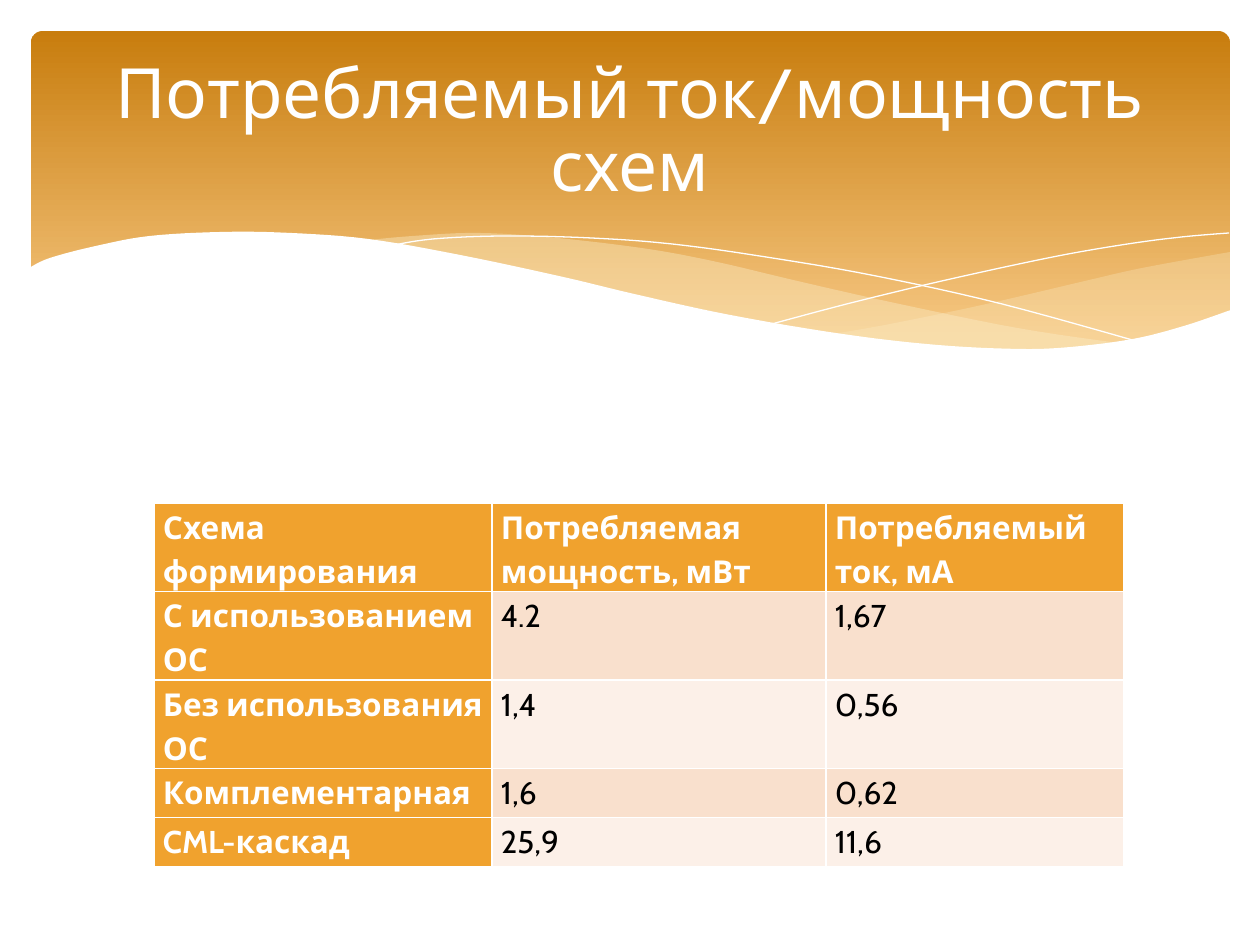
import pptx
import pptx.util
import pptx.dml.color
import pptx.enum.shapes
import pptx.enum.text
import lxml.etree

PX = 914400 / 126
FONT = "Cabin"
COLORS = {
    "band_top": "C87D0E", "band_bottom": "F6C782", "wave": "FBEEC9",
    "white": "FFFFFF", "black": "000000", "accent": "F0A22E",
    "row_dark": "F9E0CD", "row_light": "FCF0E8",
}


def rgb(name):
    return pptx.dml.color.RGBColor.from_string(COLORS[name])


def smooth_curve(knots, steps=6):
    padded = [knots[0]] + knots + [knots[-1]]
    points = [knots[0]]
    for a, b, c, d in zip(padded, padded[1:], padded[2:], padded[3:]):
        for step in range(1, steps + 1):
            t = step / steps
            points.append(tuple(
                0.5 * (2 * q + (r - p) * t + (2 * p - 5 * q + 4 * r - s) * t ** 2
                       + (3 * q - p - 3 * r + s) * t ** 3)
                for p, q, r, s in zip(a, b, c, d)))
    return points


presentation = pptx.Presentation()
presentation.slide_width = round(1260 * PX)
presentation.slide_height = round(945 * PX)
slide = presentation.slides.add_slide(presentation.slide_layouts[5])
shapes = slide.shapes

band = shapes.add_shape(
    pptx.enum.shapes.MSO_SHAPE.ROUNDED_RECTANGLE,
    *[round(value * PX) for value in (31, 31, 1199, 340)])
band.adjustments[0] = 0.034
band.shadow.inherit = False
band.line.fill.background()
band.fill.gradient()
band.fill.gradient_angle = 270
for stop, position, color in zip(
        band.fill.gradient_stops, (0, 0.9), ("band_top", "band_bottom")):
    stop.position = position
    stop.color.rgb = rgb(color)

right_wave = smooth_curve([
    (1230, 252), (1142, 268), (1085, 281), (982, 305), (890, 324), (833, 334),
]) + smooth_curve([
    (833, 334), (906, 343), (969, 349), (1026, 350), (1087, 347), (1140, 339),
    (1187, 326), (1230, 311)])
middle_wave = smooth_curve([
    (1125, 344), (1017, 328), (890, 302), (793, 280), (717, 262), (648, 249),
    (557, 238), (479, 233), (413, 236), (360, 241),
]) + smooth_curve([
    (360, 241), (431, 251), (509, 266), (566, 280), (668, 302), (757, 321),
    (838, 335), (910, 345), (989, 350), (1056, 350), (1125, 344)])
falling_line = smooth_curve([
    (389, 246), (433, 239), (505, 236), (591, 238), (672, 244), (766, 257),
    (876, 276), (1002, 304), (1143, 343)])
rising_line = smooth_curve([
    (772, 324), (847, 304), (942, 281), (1053, 257), (1128, 244), (1182, 237),
    (1229, 233)])
white_wave = smooth_curve([
    (1231, 310), (1184, 326), (1133, 339), (1071, 347), (1019, 349), (937, 345),
    (842, 334), (730, 315), (634, 294), (563, 277), (460, 255), (368, 239),
    (290, 233), (223, 232), (150, 236), (96, 246), (50, 258), (29, 268),
]) + [(29, 415), (1231, 415)]

for points, fill, opacity in (
        (right_wave, "wave", 29), (middle_wave, "wave", 40),
        (falling_line, None, 100), (rising_line, None, 100),
        (white_wave, "white", 100)):
    outline = [(round(x * PX), round(y * PX)) for x, y in points]
    builder = shapes.build_freeform(*outline[0])
    builder.add_line_segments(outline[1:], close=fill is not None)
    shape = builder.convert_to_shape()
    shape.shadow.inherit = False
    if fill is None:
        shape.fill.background()
        shape.line.color.rgb = rgb("white")
        shape.line.width = 0
        continue
    shape.line.fill.background()
    shape.fill.solid()
    shape.fill.fore_color.rgb = rgb(fill)
    if opacity < 100:
        color = shape._element.spPr.find(".//" + pptx.oxml.ns.qn("a:srgbClr"))
        alpha = lxml.etree.SubElement(color, pptx.oxml.ns.qn("a:alpha"))
        alpha.set("val", str(opacity * 1000))

rows = [
    ("Схема формирования", "Потребляемая мощность, мВт", "Потребляемый ток, мА"),
    ("С использованием ОС", "4.2", "1,67"),
    ("Без использования ОС", "1,4", "0,56"),
    ("Комплементарная", "1,6", "0,62"),
    ("CML-каскад", "25,9", "11,6"),
]
column_widths = (338, 334, 298)
row_height = 49
frame = shapes.add_table(
    len(rows), len(column_widths), round(154 * PX), round(503 * PX),
    round(sum(column_widths) * PX), round(row_height * len(rows) * PX))
table = frame.table
table.first_col = True
for column, width in zip(table.columns, column_widths):
    column.width = round(width * PX)
cell_format = {
    "margin_left": round(9 * PX), "margin_right": round(9 * PX),
    "margin_top": 0, "margin_bottom": 0,
}
for row_index, row in enumerate(rows):
    table.rows[row_index].height = round(row_height * PX)
    for column_index, text in enumerate(row):
        is_heading = row_index == 0 or column_index == 0
        body_fill = "row_dark" if row_index % 2 else "row_light"
        cell = table.cell(row_index, column_index)
        for name, value in cell_format.items():
            setattr(cell, name, value)
        cell.fill.solid()
        cell.fill.fore_color.rgb = rgb("accent" if is_heading else body_fill)
        cell.text = text
        paragraph = cell.text_frame.paragraphs[0]
        paragraph.line_spacing = 1.15
        font = paragraph.runs[0].font
        font_format = {"name": FONT, "size": pptx.util.Pt(18), "bold": is_heading}
        for name, value in font_format.items():
            setattr(font, name, value)
        font.color.rgb = rgb("white" if is_heading else "black")

title = shapes.title
title_format = {
    "left": round(63 * PX), "top": round(47 * PX),
    "width": round(1134 * PX), "height": round(173 * PX),
}
for name, value in title_format.items():
    setattr(title, name, value)
title.text_frame.text = "Потребляемый ток/мощность схем"
title.text_frame.word_wrap = True
title.text_frame.vertical_anchor = pptx.enum.text.MSO_ANCHOR.MIDDLE
paragraph = title.text_frame.paragraphs[0]
paragraph.alignment = pptx.enum.text.PP_ALIGN.CENTER
paragraph.line_spacing = 0.87
font = paragraph.runs[0].font
font.name = FONT
font.size = pptx.util.Pt(39.6)
font.color.rgb = rgb("white")
shapes._spTree.append(title._element)

presentation.save("out.pptx")
